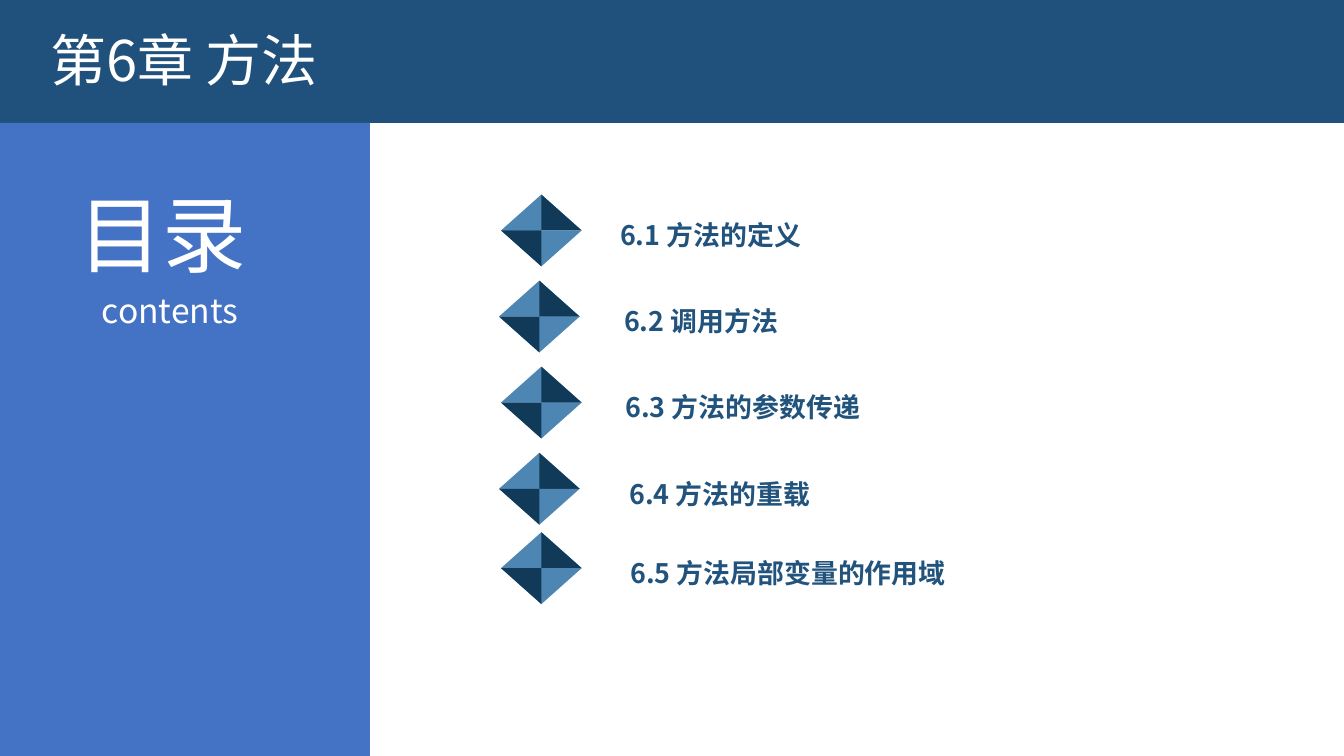
from dataclasses import dataclass

from lxml import etree
from pptx import Presentation
from pptx.dml.color import RGBColor
from pptx.enum.shapes import MSO_SHAPE
from pptx.enum.text import MSO_ANCHOR, MSO_AUTO_SIZE, PP_ALIGN
from pptx.oxml.ns import qn
from pptx.util import Inches, Pt

RECT, TRIANGLE = MSO_SHAPE.RECTANGLE, MSO_SHAPE.ISOSCELES_TRIANGLE
TOP, LEFT, FIXED = MSO_ANCHOR.TOP, PP_ALIGN.LEFT, MSO_AUTO_SIZE.NONE


@dataclass(frozen=True)
class Theme:
    """Fonts, colours and type sizes of the deck."""
    font: str = "Noto Sans CJK SC"
    white: str = "FFFFFF"
    header: str = "20517C"
    side: str = "4472C4"
    item: str = "21537D"
    light: str = "4D86B3"
    dark: str = "113A59"
    title_size: int = 40
    heading_size: int = 60
    text_size: int = 24
    leading: float = 1.3


def write(p, text, theme, size, color, bold=False, small_caps=False):
    """Write text into paragraph p with the given format."""
    p.alignment = LEFT
    p.line_spacing = Pt(size * theme.leading)
    r = p.add_run()
    r.text = text
    r.font.size, r.font.bold = Pt(size), bold
    r.font.color.rgb = RGBColor.from_string(color)
    r.font.name = theme.font
    rPr = r.font._element
    etree.SubElement(rPr, qn("a:ea")).set("typeface", theme.font)
    if small_caps:
        rPr.set("cap", "small")


class Deck:
    """Draws on the current slide, on a grid of 100 columns and 100 rows."""

    def __init__(self, prs, theme):
        """Start a slide with title and body."""
        self.theme = theme
        self.col, self.row = prs.slide_width / 100, prs.slide_height / 100
        self.s = prs.slides.add_slide(prs.slide_layouts[1])

    def box(self, x, y, w, h):
        """Turn grid columns and rows into lengths."""
        return (round(x * self.col), round(y * self.row),
                round(w * self.col), round(h * self.row))

    def paint(self, sp, color):
        """Give a shape a flat fill without outline or shadow."""
        sp.shadow.inherit = False
        sp.fill.solid()
        sp.fill.fore_color.rgb = RGBColor.from_string(color)
        sp.line.fill.background()

    def shape(self, shapes, kind, bounds, color, rotation=0):
        """Add a preset shape."""
        sp = shapes.add_shape(kind, *self.box(*bounds))
        sp.rotation = rotation
        self.paint(sp, color)

    def polygon(self, shapes, points, color):
        """Add a closed outline."""
        points = [self.box(x, y, 0, 0)[:2] for x, y in points]
        fb = shapes.build_freeform(*points[0])
        fb.add_line_segments(points[1:], close=True)
        self.paint(fb.convert_to_shape(), color)

    def frame(self, sp, bounds):
        """Place a text holder and return its text frame."""
        sp.left, sp.top, sp.width, sp.height = self.box(*bounds)
        tf = sp.text_frame
        tf.word_wrap, tf.auto_size, tf.vertical_anchor = True, FIXED, TOP
        tf.margin_left = tf.margin_right = Inches(0.1)
        tf.margin_top = tf.margin_bottom = Inches(0.05)
        return tf

    def title(self, text, bounds):
        """Fill the title placeholder."""
        tf = self.frame(self.s.shapes.title, bounds)
        write(tf.paragraphs[0], text, self.theme, self.theme.title_size, self.theme.white)

    def label(self, text, bounds, size):
        """Add a white text box."""
        tf = self.frame(self.s.shapes.add_textbox(0, 0, 0, 0), bounds)
        write(tf.paragraphs[0], text, self.theme, size, self.theme.white)

    def contents(self, items, bounds):
        """Fill the body placeholder with the chapter's sections."""
        th = self.theme
        tf = self.frame(self.s.placeholders[1], bounds)
        tf.margin_left = tf.margin_right = Inches(0.08)
        tf.margin_top = tf.margin_bottom = Inches(0.04)
        last = None
        for text, indent, _, top in items:
            p = tf.paragraphs[0] if last is None else tf.add_paragraph()
            pPr = p._p.get_or_add_pPr()
            pPr.set("marL", str(round(indent * self.col)))
            pPr.set("indent", "0")
            etree.SubElement(pPr, qn("a:buNone"))
            gap = 0 if last is None else (top - last) * self.row - Pt(th.text_size * th.leading)
            p.space_before, p.space_after = Pt(gap / Pt(1)), Pt(0)
            write(p, text, th, th.text_size, th.item, bold=True, small_caps=True)
            last = top

    def gem(self, x, y, w=6, h=9.5):
        """Add a diamond of two light and two dark facets."""
        th, shapes = self.theme, self.s.shapes.add_group_shape().shapes
        cx, cy = x + w / 2, y + h / 2
        self.shape(shapes, TRIANGLE, (x, y, w, h / 2), th.light)
        self.polygon(shapes, [(cx, y), (cx, cy), (x + w, cy)], th.dark)
        self.shape(shapes, TRIANGLE, (x, cy, w, h / 2), th.light, rotation=180)
        self.polygon(shapes, [(cx, y + h), (cx, cy), (x, cy)], th.dark)


def main():
    """Build the contents slide."""
    prs = Presentation()
    prs.slide_width, prs.slide_height = Inches(13.33), Inches(7.5)
    th = Theme()
    deck = Deck(prs, th)
    sections = [
        ("6.1 方法的定义", 0, 37.28, 25.73),
        ("6.2 调用方法", 0.3, 37.13, 37.12),
        ("6.3 方法的参数传递", 0.38, 37.28, 48.5),
        ("6.4 方法的重载", 0.68, 37.13, 59.9),
        ("6.5 方法局部变量的作用域", 0.75, 37.28, 70.4),
    ]
    header, side = 16.27, 27.53
    shapes = deck.s.shapes
    deck.shape(shapes, RECT, (0, 0, 100, header), th.header)
    deck.shape(shapes, RECT, (0, header, side, 100 - header), th.side)
    for sp in list(shapes)[-2:][::-1]:
        shapes._spTree.insert(2, sp._element)
    deck.title("第6章 方法", (3, 2, 60.5, 10.3))
    deck.label("目录", (5.1, 22.4, 16.4, 14.8), th.heading_size)
    deck.label("contents", (6.83, 37.2, 13.05, 6.8), th.text_size)
    deck.contents(sections, (45.54, 27.07, 34, 55))
    for _, _, left, top in sections:
        deck.gem(left, top)
    prs.save("out.pptx")


if __name__ == "__main__":
    main()
